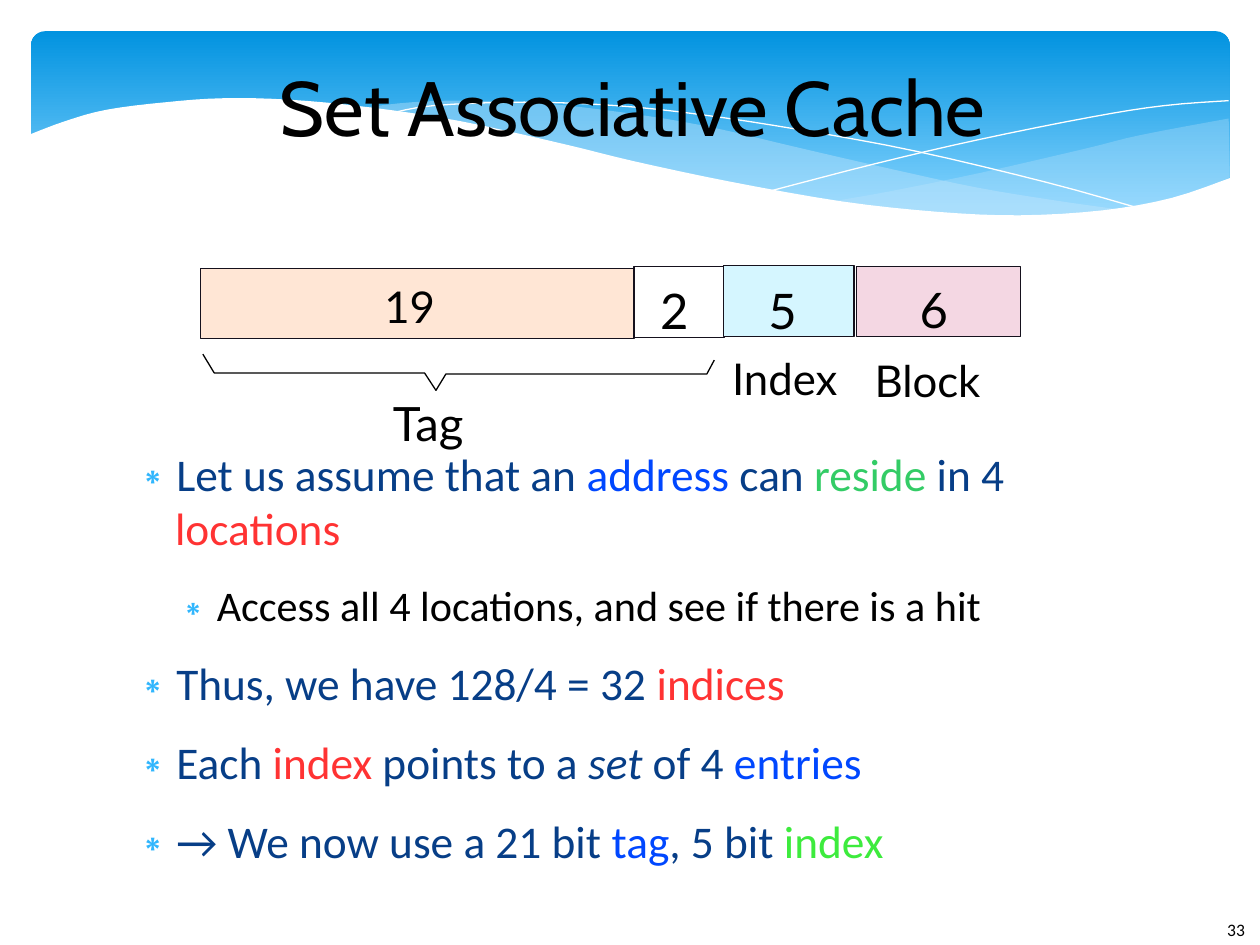
from lxml import etree
from pptx import Presentation
from pptx.dml.color import RGBColor
from pptx.enum.shapes import MSO_SHAPE
from pptx.enum.text import MSO_ANCHOR, MSO_AUTO_SIZE, PP_ALIGN
from pptx.oxml.ns import qn
from pptx.util import Cm, Pt

RECT, ROUND_RECT = MSO_SHAPE.RECTANGLE, MSO_SHAPE.ROUNDED_RECTANGLE
TOP, MIDDLE = MSO_ANCHOR.TOP, MSO_ANCHOR.MIDDLE
NO_FIT, CENTER = MSO_AUTO_SIZE.NONE, PP_ALIGN.CENTER

BLACK = RGBColor(0x00, 0x00, 0x00)
WHITE = RGBColor(0xFF, 0xFF, 0xFF)
SKY_DARK = RGBColor(0x02, 0x93, 0xE0)
SKY_LIGHT = RGBColor(0x83, 0xD3, 0xFE)
PALE = RGBColor(0xC6, 0xE7, 0xFC)
OUTLINE = RGBColor(0x15, 0x11, 0x1D)
PEACH = RGBColor(0xFF, 0xE6, 0xD5)
AQUA = RGBColor(0xD5, 0xF6, 0xFF)
PINK = RGBColor(0xF4, 0xD7, 0xE3)
NAVY = RGBColor(0x07, 0x3E, 0x87)
BLUE = RGBColor(0x00, 0x47, 0xFF)
GREEN = RGBColor(0x33, 0xCC, 0x66)
LIME = RGBColor(0x3D, 0xEB, 0x3D)
RED = RGBColor(0xFF, 0x33, 0x33)
BULLET_COLOR = "31B6FD"

# Content: (level, [(text, color, italic)])
TITLE = "Set Associative Cache"
BULLETS = [
    (0, [("Let us assume that an ", NAVY, False), ("address", BLUE, False),
         (" can ", NAVY, False), ("reside", GREEN, False),
         (" in 4 ", NAVY, False), ("locations", RED, False)]),
    (1, [("Access all 4 locations, and see if there is a hit", BLACK, False)]),
    (0, [("Thus, we have 128/4 = 32 ", NAVY, False), ("indices", RED, False)]),
    (0, [("Each ", NAVY, False), ("index", RED, False),
         (" points to a ", NAVY, False), ("set ", NAVY, True),
         ("of 4 ", NAVY, False), ("entries", BLUE, False)]),
    (0, [("→ We now use a 21 bit ", NAVY, False), ("tag", BLUE, False),
         (", 5 bit ", NAVY, False), ("index", LIME, False)]),
]
LEVELS = [(1.19, 25.9), (2.03, 24.1)]  # left margin in cm, size in pt
HANGING = 0.89

# Address fields: left, top, width, height in cm, fill
FIELDS = [
    (4.04, 5.41, 8.74, 1.42, PEACH),
    (12.78, 5.38, 1.83, 1.42, None),
    (14.58, 5.36, 2.64, 1.42, AQUA),
    (17.27, 5.38, 3.3, 1.4, PINK),
]
# Labels: text, left, top, width, height in cm, size in pt
LABELS = [
    ("19", 7.75, 5.64, 1.35, 1.19, 25),
    ("2", 13.31, 5.66, 0.97, 1.32, 28),
    ("5", 15.49, 5.66, 0.97, 1.32, 28),
    ("6", 18.54, 5.64, 0.97, 1.32, 28),
    ("Tag", 7.92, 7.95, 2.11, 1.32, 27),
    ("Index", 14.76, 7.09, 2.51, 1.19, 25),
    ("Block", 17.63, 7.14, 2.51, 1.19, 25),
]
BRACKET = [(4.09, 7.14), (4.32, 7.52), (8.56, 7.52), (8.79, 7.87),
           (8.99, 7.54), (14.25, 7.54), (14.4, 7.26)]

# Banner waves: key points in cm for each smooth edge
RIGHT_WAVE = [
    [(24.77, 2.39), (23.01, 2.72), (21.87, 3), (19.79, 3.48), (17.93, 3.86),
     (16.79, 4.06)],
    [(16.79, 4.06), (18.26, 4.24), (19.53, 4.34), (20.68, 4.37), (21.69, 4.32),
     (22.99, 4.14), (23.93, 3.91), (24.79, 3.58)],
]
LONG_WAVE = [
    [(22.68, 4.24), (21.26, 4.04), (19.69, 3.78), (17.93, 3.4), (15.98, 2.95),
     (14.45, 2.59), (13.06, 2.34), (11.23, 2.11), (9.65, 2.03), (8.33, 2.06),
     (7.26, 2.18)],
    [(7.26, 2.18), (8.69, 2.39), (10.26, 2.69), (11.4, 2.95), (13.46, 3.43),
     (15.27, 3.81), (16.89, 4.09), (18.34, 4.27), (19.63, 4.37), (20.78, 4.39),
     (21.77, 4.34), (22.68, 4.24)],
]
FALLING_LINE = [(7.85, 2.29), (8.74, 2.13), (10.57, 2.06), (12.42, 2.13),
                (14.12, 2.31), (16.15, 2.62), (18.47, 3.05), (21.11, 3.68),
                (23.04, 4.22)]
RISING_LINE = [(15.57, 3.84), (17.65, 3.3), (19.71, 2.82), (22, 2.36),
               (23.47, 2.13), (24.77, 2.03)]
PAGE_EDGE = [(24.82, 3.58), (23.62, 3.99), (22.23, 4.24), (20.55, 4.34),
             (18.9, 4.27), (16.97, 4.06), (14.71, 3.66), (12.78, 3.25),
             (11.35, 2.9), (9.27, 2.44), (7.42, 2.16), (5.84, 2.01),
             (4.5, 1.98), (3.35, 2.06), (2.16, 2.21), (1.32, 2.44),
             (0.58, 2.72)]
PAGE_CORNERS = [(0.58, 5.69), (24.82, 5.69)]


def smooth(points, steps=4):
    """Catmull-Rom curve through the points."""
    padded = [points[0], *points, points[-1]]
    curve = []
    for a, b, c, d in zip(padded, padded[1:], padded[2:], padded[3:]):
        for t in (i / steps for i in range(steps)):
            curve.append(tuple(
                0.5 * (2 * q + (r - p) * t + (2 * p - 5 * q + 4 * r - s) * t ** 2
                       + (3 * q - p - 3 * r + s) * t ** 3)
                for p, q, r, s in zip(a, b, c, d)))
    return curve + [points[-1]]


def paint(sp, fill=None, line=None, alpha=None):
    sp.shadow.inherit = False
    if fill is None:
        sp.fill.background()
    else:
        sp.fill.solid()
        sp.fill.fore_color.rgb = fill
    if alpha:
        color = sp.element.spPr.find(qn("a:solidFill"))[0]
        etree.SubElement(color, qn("a:alpha"), val=str(alpha * 1000))
    if line is None:
        sp.line.fill.background()
    else:
        sp.line.color.rgb = line
        sp.line.width = Pt(0)


def add_path(shapes, points, close=False, **style):
    path = [(Cm(x), Cm(y)) for x, y in points]
    builder = shapes.build_freeform(*path[0], scale=1.0)
    builder.add_line_segments(path[1:], close=close)
    paint(builder.convert_to_shape(), **style)


def set_font(r, name, size, color, italic=False):
    r.font.name, r.font.size, r.font.italic = name, Pt(size), italic
    r.font.color.rgb = color


def add_label(shapes, text, box, font, size):
    tf = shapes.add_textbox(*map(Cm, box)).text_frame
    tf.word_wrap = True
    tf.text = text
    set_font(tf.paragraphs[0].runs[0], font, size, BLACK)
    return tf


def clear_margins(tf):
    tf.margin_left = tf.margin_right = tf.margin_top = tf.margin_bottom = 0


def place(sp, box, anchor):
    """Move a placeholder to the front and reset its frame."""
    sp.left, sp.top, sp.width, sp.height = map(Cm, box)
    sp.element.getparent().append(sp.element)
    tf = sp.text_frame
    clear_margins(tf)
    tf.word_wrap, tf.auto_size, tf.vertical_anchor = True, NO_FIT, anchor
    return tf


prs = Presentation()
prs.slide_width, prs.slide_height = Cm(25.4), Cm(19.05)
slide = prs.slides.add_slide(prs.slide_layouts[1])
shapes = slide.shapes

# Banner
banner = shapes.add_shape(ROUND_RECT, Cm(0.63), Cm(0.63), Cm(24.16), Cm(3.96))
banner.adjustments[0] = 0.07
paint(banner)
banner.fill.gradient()
banner.fill.gradient_angle = 270
for stop, color, pos in zip(banner.fill.gradient_stops, (SKY_DARK, SKY_LIGHT), (0, 0.9)):
    stop.color.rgb, stop.position = color, pos
for edges, alpha in ((RIGHT_WAVE, 29), (LONG_WAVE, 40)):
    outline = [pt for edge in edges for pt in smooth(edge)]
    add_path(shapes, outline, close=True, fill=PALE, alpha=alpha)
for points in (FALLING_LINE, RISING_LINE):
    add_path(shapes, smooth(points), line=WHITE)
add_path(shapes, smooth(PAGE_EDGE) + PAGE_CORNERS, close=True, fill=WHITE)

# Slide number
add_label(shapes, "33", (24.49, 18.41, 1.55, 1.02), "Calibri", 10)

# Title
tf = place(shapes.title, (2.46, 0.84, 20.6, 2.59), MIDDLE)
tf.text = TITLE
tf.paragraphs[0].alignment = CENTER
set_font(tf.paragraphs[0].runs[0], "Cabin", 44, BLACK)

# Bullet list
tf = place(slide.placeholders[1], (2.34, 8.99, 20.6, 7.95), TOP)
for i, (level, runs) in enumerate(BULLETS):
    p = tf.paragraphs[0] if i == 0 else tf.add_paragraph()
    margin, size = LEVELS[level]
    p.level = level
    p.space_before, p.space_after = Pt(0), Pt(14.1)
    pPr = p._p.get_or_add_pPr()
    pPr.set("marL", str(Cm(margin)))
    pPr.set("indent", str(-Cm(HANGING)))
    bullet_color = etree.SubElement(pPr, qn("a:buClr"))
    etree.SubElement(bullet_color, qn("a:srgbClr"), val=BULLET_COLOR)
    etree.SubElement(pPr, qn("a:buChar"), char="∗")
    for text, color, italic in runs:
        r = p.add_run()
        r.text = text
        set_font(r, "Calibri", size, color, italic)

# Address layout
for *box, fill in FIELDS:
    paint(shapes.add_shape(RECT, *map(Cm, box)), fill=fill, line=OUTLINE)
add_path(shapes, BRACKET, line=BLACK)
for text, *box, size in LABELS:
    clear_margins(add_label(shapes, text, box, "Lato", size))

prs.save("out.pptx")
